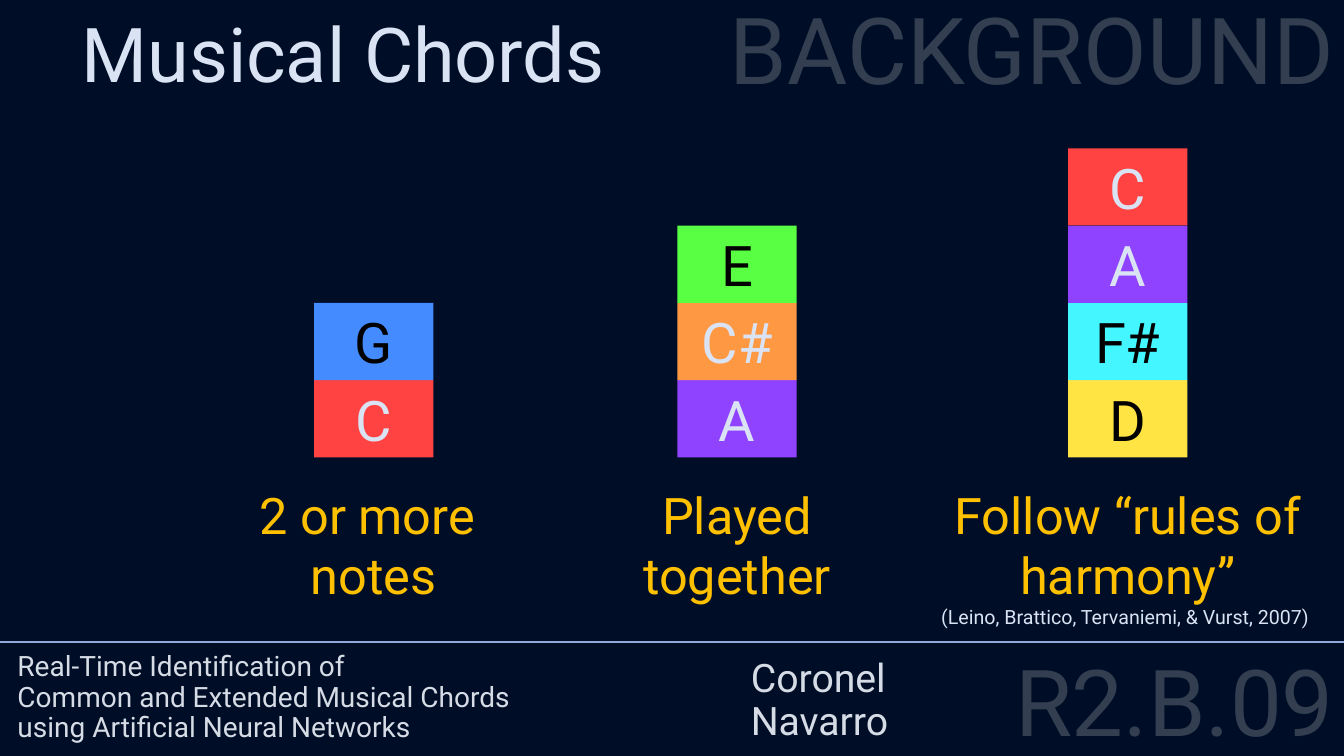
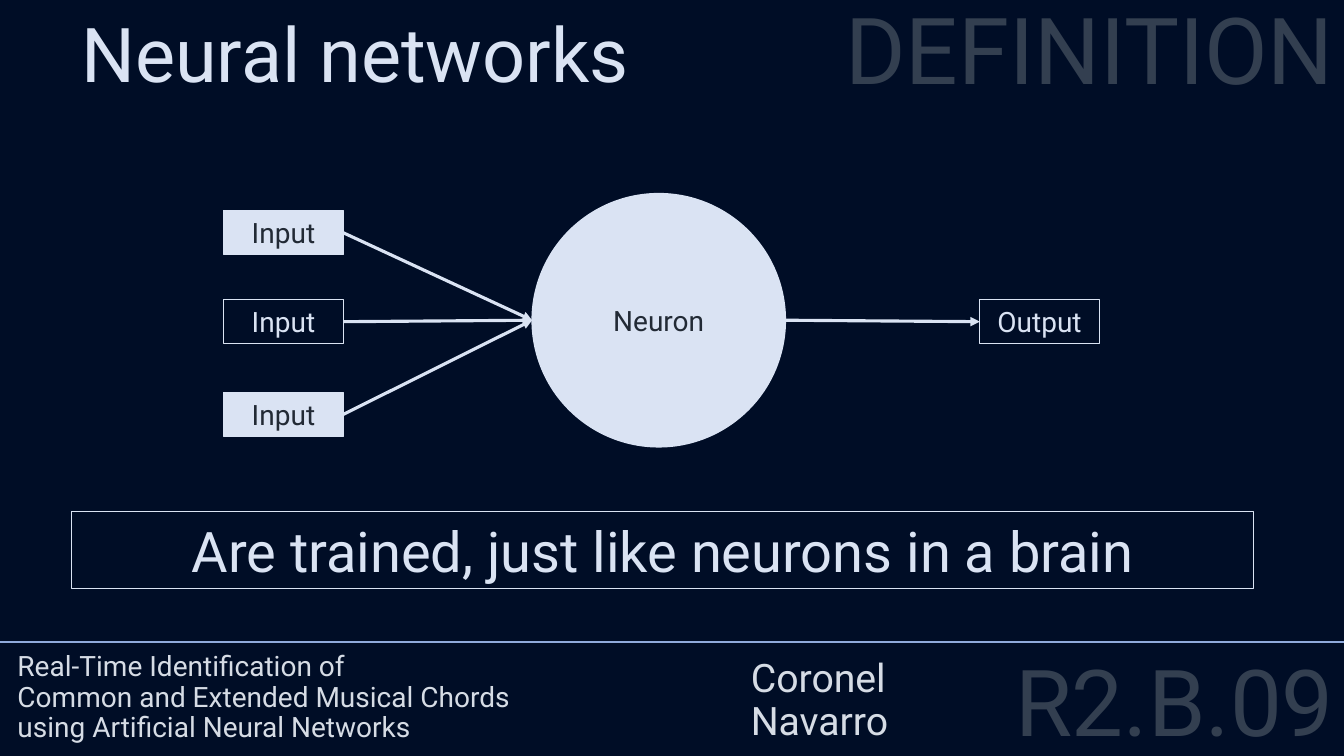
from lxml.etree import SubElement
from pptx import Presentation
from pptx.dml.color import RGBColor
from pptx.enum.shapes import MSO_CONNECTOR as Connector, MSO_SHAPE as Preset
from pptx.enum.text import MSO_ANCHOR as Anchor, PP_ALIGN as Align
from pptx.oxml.ns import qn
from pptx.util import Inches, Pt

COLUMNS, ROWS = 160, 90
FONT = "Roboto"
NIGHT, GHOST, RULE, FOOTER = "000D26", "333F50", "8FAADC", "D6DCE5"
PALE, INK, BLACK, GOLD = "DAE3F3", "222A35", "000000", "FFC000"
NOTES = {
    "C": ("FF4343", PALE),
    "C#": ("FF9843", PALE),
    "D": ("FFE443", BLACK),
    "E": ("59FF43", BLACK),
    "F#": ("43F6FF", BLACK),
    "G": ("438BFF", BLACK),
    "A": ("8F43FF", PALE),
}


def colour(code):
    return RGBColor.from_string(code)


class Deck:
    """Holds the shared style and the slide being built on a 160 by 90 grid."""

    def __init__(self):
        self.prs = Presentation()
        self.prs.slide_width, self.prs.slide_height = Inches(13.33), Inches(7.5)
        background = self.prs.slide_master.background.fill
        background.solid()
        background.fore_color.rgb = colour(NIGHT)
        self.slide = None

    def grid(self, *lengths):
        units = (self.prs.slide_width / COLUMNS, self.prs.slide_height / ROWS)
        return [round(length * units[i % 2]) for i, length in enumerate(lengths)]

    def new_slide(self, title, section):
        self.slide = self.prs.slides.add_slide(self.prs.slide_layouts[6])
        self.ghost(section, (26.6, 0, 133.4, 43), 0.9)
        self.text([[(title, 54, PALE)]], (8.5, 0.25, 100, 12.1))
        self.footer()

    def footer(self):
        self.ghost("R2.B.09", (101.5, 78.7, 58.5, 12.5), 0.8)
        self.line((0, 76.4), (COLUMNS, 76.4), RULE, 1.5)
        project = ("Real-Time Identification of \nCommon and Extended Musical Chords \n"
                   "using Artificial Neural Networks")
        self.text([[(project, 20, FOOTER)]], (0.9, 53.2, 87.4, 35.9),
                  anchor=Anchor.BOTTOM, spacing=0.9)
        self.text([[(name, 28, FOOTER)] for name in ("Coronel", "Navarro")],
                  (88.2, 53.2, 61.2, 35.9), anchor=Anchor.BOTTOM, spacing=0.9)

    def ghost(self, words, area, spacing):
        self.text([[(words, 66, GHOST)]], area, Align.RIGHT, spacing=spacing, before=10)

    def text(self, paragraphs, area, align=Align.LEFT, anchor=Anchor.TOP,
             spacing=None, before=0):
        frame = self.slide.shapes.add_textbox(*self.grid(*area)).text_frame
        self.typeset(frame, paragraphs, align, anchor, spacing, before)

    def typeset(self, frame, paragraphs, align, anchor, spacing=None, before=0):
        frame.word_wrap = True
        frame.vertical_anchor = anchor
        for index, pieces in enumerate(paragraphs):
            paragraph = frame.add_paragraph() if index else frame.paragraphs[0]
            paragraph.alignment = align
            paragraph.space_before = Pt(before)
            if spacing:
                paragraph.line_spacing = spacing
            for words, size, ink in pieces:
                for row, part in enumerate(words.split("\n")):
                    if row:
                        paragraph.add_line_break()
                    if part:
                        run = paragraph.add_run()
                        run.text = part
                        run.font.name, run.font.size = FONT, Pt(size)
                        run.font.color.rgb = colour(ink)

    def box(self, label, area, size, ink, fill=None, outline=None, preset=Preset.RECTANGLE):
        shape = self.slide.shapes.add_shape(preset, *self.grid(*area))
        shape.shadow.inherit = False
        if fill:
            shape.fill.solid()
            shape.fill.fore_color.rgb = colour(fill)
        else:
            shape.fill.background()
        if outline:
            shape.line.color.rgb = colour(PALE)
            shape.line.width = Pt(outline)
        else:
            shape.line.fill.background()
        self.typeset(shape.text_frame, [[(label, size, ink)]], Align.CENTER, Anchor.MIDDLE)
        return shape

    def line(self, start, end, ink=PALE, width=2.25, arrow=False):
        line = self.slide.shapes.add_connector(Connector.STRAIGHT, *self.grid(*start, *end))
        line.line.color.rgb = colour(ink)
        line.line.width = Pt(width)
        properties = line._element.spPr
        if arrow:
            SubElement(properties.find(qn("a:ln")), qn("a:tailEnd"), type="triangle")
        SubElement(properties, qn("a:effectLst"))
        return line

    def chord(self, centre, notes, caption):
        width, height, base, caption_width = 14.2, 9.2, 54.45, 51.5
        for level, note in enumerate(notes, 1):
            fill, ink = NOTES[note]
            area = (centre - width / 2, base - level * height, width, height)
            self.box(note, area, 40, ink, fill)
        self.text(caption, (centre - caption_width / 2, 57, caption_width, 15.7), Align.CENTER)


def musical_chords(deck):
    deck.new_slide("Musical Chords", "BACKGROUND")
    deck.chord(44.5, ["C", "G"], [[("2 or more ", 36, GOLD)], [("notes", 36, GOLD)]])
    deck.chord(87.75, ["A", "C#", "E"], [[("Played", 36, GOLD)], [("together", 36, GOLD)]])
    deck.chord(134.25, ["D", "F#", "A", "C"], [[
        ("Follow “rules of harmony”\n", 36, GOLD),
        ("(Leino, Brattico, Tervaniemi, & Vurst, 2007) ", 14, PALE)]])


def neural_networks(deck):
    deck.new_slide("Neural networks", "DEFINITION")
    left, top, diameter = 63.35, 23.05, 30.15
    middle = top + diameter / 2
    width, height, input_left, output_left = 14.2, 5.3, 26.65, 116.65
    deck.box("Neuron", (left, top, diameter, diameter), 20, INK, PALE, 1, Preset.OVAL)
    for input_top, ink, fill in ((25.05, INK, PALE), (35.65, PALE, None), (46.7, INK, PALE)):
        source = deck.box("Input", (input_left, input_top, width, height), 20, ink, fill, 0.75)
        signal = deck.line((input_left + width, input_top + height / 2), (left, middle), arrow=True)
        signal.begin_connect(source, 3)
    output = deck.box("Output", (output_left, 35.65, width, height), 20, PALE, outline=0.75)
    result = deck.line((left + diameter, middle), (output_left, middle), arrow=True)
    result.end_connect(output, 1)
    deck.box("Are trained, just like neurons in a brain", (8.5, 60.9, 140.75, 9.2),
             40, PALE, outline=0.75)


def main():
    deck = Deck()
    musical_chords(deck)
    neural_networks(deck)
    deck.prs.save("out.pptx")


if __name__ == "__main__":
    main()
